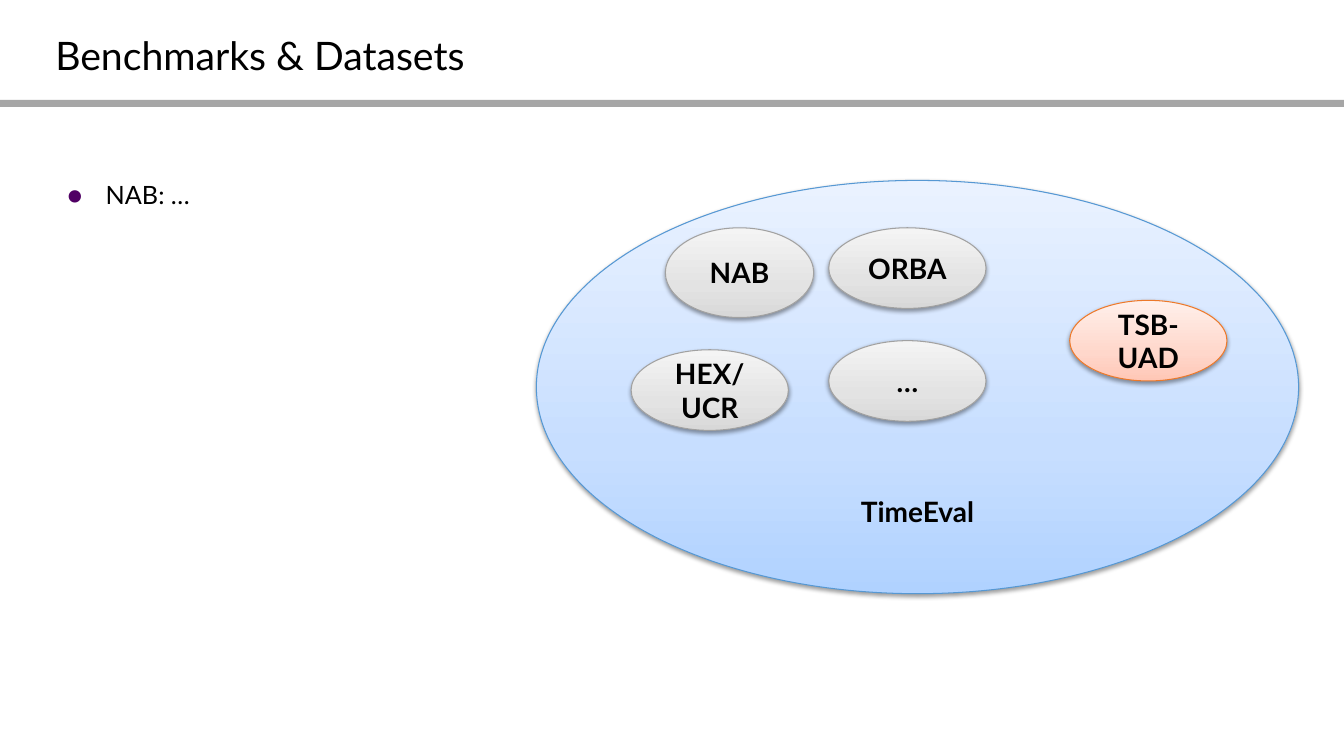
from lxml.etree import SubElement
from pptx import Presentation
from pptx.dml.color import RGBColor
from pptx.enum.shapes import MSO_SHAPE
from pptx.enum.text import MSO_ANCHOR, PP_ALIGN
from pptx.oxml.ns import qn
from pptx.util import Pt

PX = 9144  # 100 px to the inch
FONT = "Lato"
COLORS = {"black": "000000", "rule": "A6A6A6", "bullet": "500064"}
# Ellipse styles: outline, then gradient from bottom to top
STYLES = {
    "blue": ("5698D3", ("B0D2FF", "C7DEFF", "EAF2FF")),
    "gray": ("A1A1A1", ("D8D8D8", "E3E3E3", "F4F4F4")),
    "orange": ("EC792B", ("FFC7B6", "FFD7CB", "FFF0EB")),
}
STOPS = (0, 35, 100)
# Label, style and box relative to the TimeEval ellipse
DATASETS = [
    ("NAB", "gray", (128, 47, 147, 89)),
    ("HEX/UCR", "gray", (94, 168, 156, 80)),
    ("ORBA", "gray", (290, 47, 156, 80)),
    ("…", "gray", (290, 159, 156, 80)),
    ("TSB-UAD", "orange", (529, 119, 156, 80)),
]


def emu(*lengths):
    return [n * PX for n in lengths]


def rgb(name):
    return RGBColor.from_string(COLORS.get(name, name))


def add_run(p, text, size, bold=False):
    r = p.add_run()
    r.text = text
    for key, value in {"name": FONT, "size": Pt(size), "bold": bold}.items():
        setattr(r.font, key, value)
    r.font.color.rgb = rgb("black")


def add_text(slide, box, text, size):
    tf = slide.shapes.add_textbox(*emu(*box)).text_frame
    tf.word_wrap = True
    for side in ("left", "top", "right", "bottom"):
        setattr(tf, f"margin_{side}", 10 * PX)
    add_run(tf.paragraphs[0], text, size)
    return tf.paragraphs[0]


def add_header(slide, x, y, w):
    # Gray rule and title
    s = slide.shapes.add_shape(MSO_SHAPE.RECTANGLE, *emu(x, y + 99, w, 7))
    s.shadow.inherit = False
    s.fill.solid()
    s.fill.fore_color.rgb = rgb("rule")
    s.line.fill.background()
    add_text(slide, (x + 45, y + 21, w - 91, 64), "Benchmarks & Datasets", 28)


def add_bullets(slide, box):
    p = add_text(slide, box, "NAB: …", 18)
    pPr = p._p.get_or_add_pPr()
    pPr.set("marL", str(50 * PX))
    pPr.set("indent", str(-38 * PX))
    color = SubElement(pPr, qn("a:buClr"))
    SubElement(color, qn("a:srgbClr"), val=COLORS["bullet"])
    SubElement(pPr, qn("a:buFont"), typeface=FONT)
    SubElement(pPr, qn("a:buChar"), char="●")


def add_ellipse(slide, box, text, style, anchor=MSO_ANCHOR.MIDDLE):
    outline, shades = STYLES[style]
    s = slide.shapes.add_shape(MSO_SHAPE.OVAL, *emu(*box))
    s.line.color.rgb = rgb(outline)
    s.line.width = Pt(0.75)

    # Three-stop gradient
    s.fill.gradient()
    s.fill.gradient_angle = 90
    stops = s._element.spPr.find(f".//{qn('a:gsLst')}")
    for old in list(stops):
        stops.remove(old)
    for pos, shade in zip(STOPS, shades):
        stop = SubElement(stops, qn("a:gs"), pos=str(pos * 1000))
        SubElement(stop, qn("a:srgbClr"), val=shade)

    # Soft shadow below
    s.shadow.inherit = False
    effects = s._element.spPr.find(qn("a:effectLst"))
    shadow = SubElement(effects, qn("a:outerShdw"), blurRad="40000",
                        dist="20000", dir="5400000", rotWithShape="0")
    color = SubElement(shadow, qn("a:srgbClr"), val=COLORS["black"])
    SubElement(color, qn("a:alpha"), val="38000")

    tf = s.text_frame
    tf.word_wrap = True
    tf.vertical_anchor = anchor
    p = tf.paragraphs[0]
    p.alignment = PP_ALIGN.CENTER
    add_run(p, text, 20, bold=True)


def add_benchmark_map(slide, box):
    # Enclosing benchmark, then the datasets inside it
    add_ellipse(slide, box, "TimeEval", "blue", MSO_ANCHOR.BOTTOM)
    x, y = box[:2]
    for text, style, (dx, dy, w, h) in DATASETS:
        add_ellipse(slide, (x + dx, y + dy, w, h), text, style)


def main():
    prs = Presentation()
    prs.slide_width, prs.slide_height = emu(1333, 750)
    slide = prs.slides.add_slide(prs.slide_layouts[6])
    add_header(slide, 0, 0, 1333)
    add_bullets(slide, (45, 168, 1242, 498))
    add_benchmark_map(slide, (532, 179, 756, 410))
    prs.save("out.pptx")


if __name__ == "__main__":
    main()
